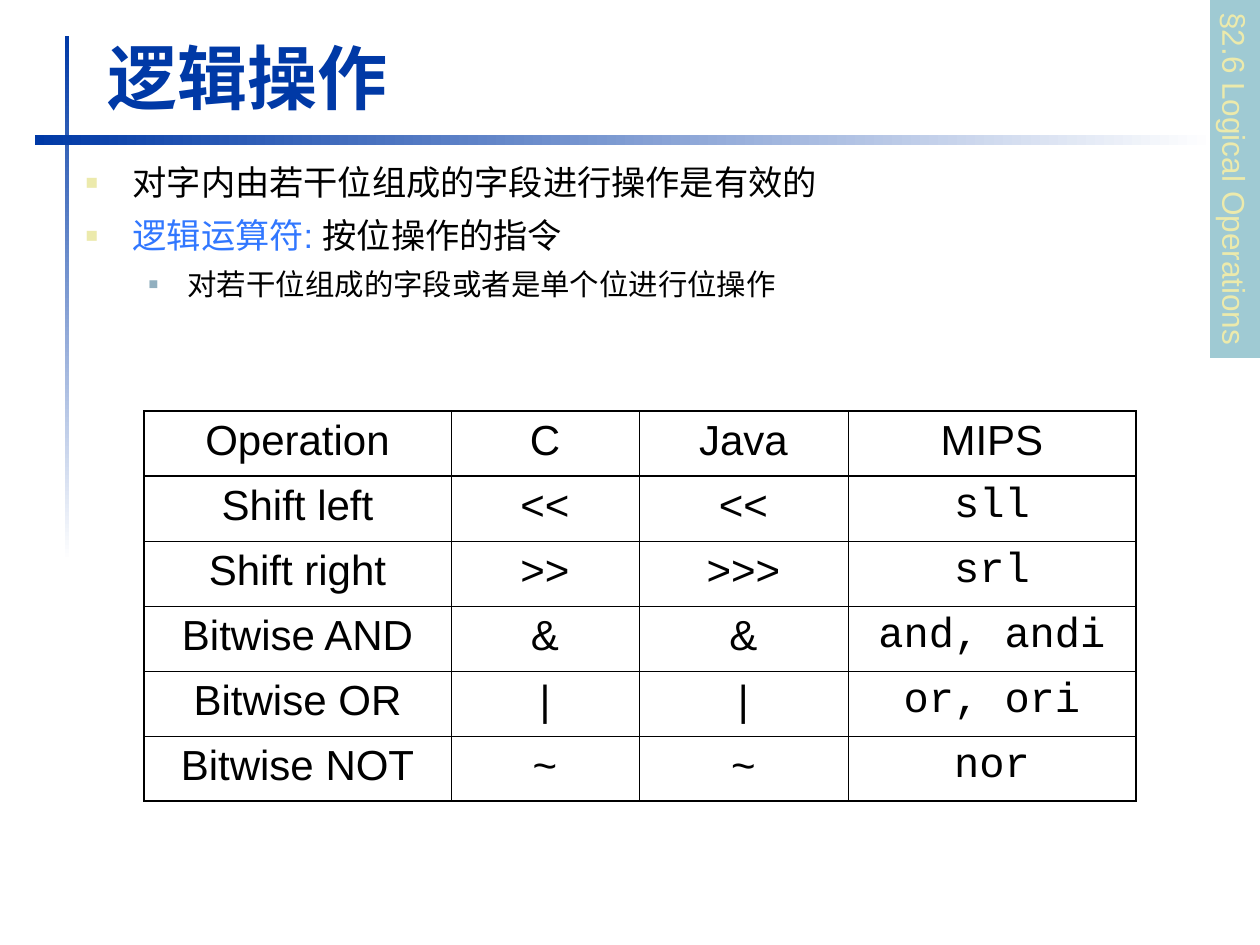
from dataclasses import dataclass

import pptx
import pptx.dml.color
import pptx.enum.shapes
import pptx.enum.text
import pptx.oxml
import pptx.oxml.ns
import pptx.util

RGBColor = pptx.dml.color.RGBColor
NAVY = RGBColor(0x00, 0x39, 0xA6)
WHITE = RGBColor(0xFF, 0xFF, 0xFF)
BLACK = RGBColor(0x00, 0x00, 0x00)
BLUE = RGBColor(0x31, 0x77, 0xFF)
TEAL = RGBColor(0x9F, 0xCA, 0xD3)
CREAM = RGBColor(0xEC, 0xEA, 0xAC)
STEEL = RGBColor(0x91, 0xAF, 0xBF)

PX_PER_INCH = 126
SANS, MONO = "Arial", "Courier New"
OUTER, HEADER, INNER = 1.08, 0.75, 0.45


@dataclass(frozen=True)
class Box:
    x: int
    y: int
    w: int
    h: int

    def emu(self):
        return [px(v) for v in (self.x, self.y, self.w, self.h)]


@dataclass(frozen=True)
class Level:
    size: float
    margin: int
    hanging: int
    before: int
    bullet: RGBColor
    percent: int


@dataclass(frozen=True)
class Item:
    level: int
    runs: tuple


LEVELS = [
    Level(19.6, 47, 47, 7, CREAM, 60),
    Level(16.8, 102, 39, 6, STEEL, 55),
]
ITEMS = [
    Item(0, (("对字内由若干位组成的字段进行操作是有效的", BLACK),)),
    Item(0, (("逻辑运算符: ", BLUE), ("按位操作的指令", BLACK))),
    Item(1, (("对若干位组成的字段或者是单个位进行位操作", BLACK),)),
]
BARS = [(Box(65, 36, 4, 525), 270), (Box(35, 135, 1180, 10), 0)]
ROWS = [
    ("Operation", "C", "Java", "MIPS"),
    ("Shift left", "<<", "<<", "sll"),
    ("Shift right", ">>", ">>>", "srl"),
    ("Bitwise AND", "&", "&", "and, andi"),
    ("Bitwise OR", "|", "|", "or, ori"),
    ("Bitwise NOT", "~", "~", "nor"),
]
COLUMN_WIDTHS = [307, 188, 209, 288]
ROW_HEIGHT = 65


def px(value: int) -> int:
    return pptx.util.Inches(value / PX_PER_INCH)


def element(xml: str):
    return pptx.oxml.parse_xml(xml.replace(">", f" {pptx.oxml.ns.nsdecls('a')}>", 1))


def place(sp, box: Box) -> None:
    sp.left, sp.top, sp.width, sp.height = box.emu()


def add_run(p, text: str, size: float, color: RGBColor, font: str = SANS, bold: bool = False) -> None:
    r = p.add_run()
    r.text = text
    r.font.size = pptx.util.Pt(size)
    r.font.name = font
    r.font.bold = bold
    r.font.color.rgb = color


def add_rect(s, box: Box):
    sp = s.shapes.add_shape(pptx.enum.shapes.MSO_SHAPE.RECTANGLE, *box.emu())
    sp.shadow.inherit = False
    sp.line.fill.background()
    return sp


def add_bar(s, box: Box, angle: int) -> None:
    sp = add_rect(s, box)
    sp.fill.gradient()
    sp.fill.gradient_angle = angle
    for stop, color in zip(sp.fill.gradient_stops, (NAVY, WHITE)):
        stop.color.rgb = color


def fill_title(sp) -> None:
    place(sp, Box(95, 28, 1138, 97))
    tf = sp.text_frame
    tf.auto_size = pptx.enum.text.MSO_AUTO_SIZE.NONE
    tf.vertical_anchor = pptx.enum.text.MSO_ANCHOR.BOTTOM
    p = tf.paragraphs[0]
    p.alignment = pptx.enum.text.PP_ALIGN.LEFT
    add_run(p, "逻辑操作", 40, NAVY, bold=True)


def set_bullet(p, level: Level) -> None:
    pPr = p._p.get_or_add_pPr()
    pPr.set("marL", str(px(level.margin)))
    pPr.set("indent", str(-px(level.hanging)))
    for xml in (
        f'<a:buClr><a:srgbClr val="{level.bullet}"/></a:buClr>',
        f'<a:buSzPct val="{level.percent * 1000}"></a:buSzPct>',
        f'<a:buFont typeface="{SANS}"></a:buFont>',
        '<a:buChar char="■"></a:buChar>',
    ):
        pPr.append(element(xml))


def fill_body(sp) -> None:
    place(sp, Box(73, 155, 1166, 159))
    tf = sp.text_frame
    tf.auto_size = pptx.enum.text.MSO_AUTO_SIZE.NONE
    for i, item in enumerate(ITEMS):
        p = tf.add_paragraph() if i else tf.paragraphs[0]
        level = LEVELS[item.level]
        p.level = item.level
        set_bullet(p, level)
        p.space_before = pptx.util.Pt(level.before if i else 0)
        for text, color in item.runs:
            add_run(p, text, level.size, color)


def set_borders(cell, row: int, col: int) -> None:
    last_row, last_col = len(ROWS) - 1, len(COLUMN_WIDTHS) - 1
    widths = {
        "lnL": OUTER if col == 0 else INNER,
        "lnR": OUTER if col == last_col else INNER,
        "lnT": {0: OUTER, 1: HEADER}.get(row, INNER),
        "lnB": {0: HEADER, last_row: OUTER}.get(row, INNER),
    }
    tcPr = cell._tc.get_or_add_tcPr()
    for i, (tag, width) in enumerate(widths.items()):
        tcPr.insert(i, element(
            f'<a:{tag} w="{pptx.util.Pt(width)}"><a:solidFill>'
            f'<a:srgbClr val="{BLACK}"/></a:solidFill></a:{tag}>'))


def add_operations(s) -> None:
    box = Box(144, 411, sum(COLUMN_WIDTHS), ROW_HEIGHT * len(ROWS))
    table = s.shapes.add_table(len(ROWS), len(COLUMN_WIDTHS), *box.emu()).table
    table.first_row = table.horz_banding = False
    for column, width in zip(table.columns, COLUMN_WIDTHS):
        column.width = px(width)
    for row, texts in enumerate(ROWS):
        table.rows[row].height = px(ROW_HEIGHT)
        for col, text in enumerate(texts):
            cell = table.cell(row, col)
            cell.fill.background()
            set_borders(cell, row, col)
            p = cell.text_frame.paragraphs[0]
            p.alignment = pptx.enum.text.PP_ALIGN.CENTER
            add_run(p, text, 24, BLACK, MONO if row and col == 3 else SANS)


def add_section_tag(s) -> None:
    sp = add_rect(s, Box(1056, 154, 358, 50))
    sp.rotation = 90
    sp.fill.solid()
    sp.fill.fore_color.rgb = TEAL
    tf = sp.text_frame
    tf.word_wrap = False
    tf.auto_size = pptx.enum.text.MSO_AUTO_SIZE.SHAPE_TO_FIT_TEXT
    tf.vertical_anchor = pptx.enum.text.MSO_ANCHOR.TOP
    p = tf.paragraphs[0]
    p.alignment = pptx.enum.text.PP_ALIGN.LEFT
    add_run(p, "§2.6 Logical Operations", 18, CREAM)


def main() -> None:
    prs = pptx.Presentation()
    prs.slide_width, prs.slide_height = px(1260), px(945)
    s = prs.slides.add_slide(prs.slide_layouts[1])
    for box, angle in BARS:
        add_bar(s, box, angle)
    fill_title(s.shapes.title)
    fill_body(s.placeholders[1])
    add_operations(s)
    add_section_tag(s)
    prs.save("out.pptx")


if __name__ == "__main__":
    main()
